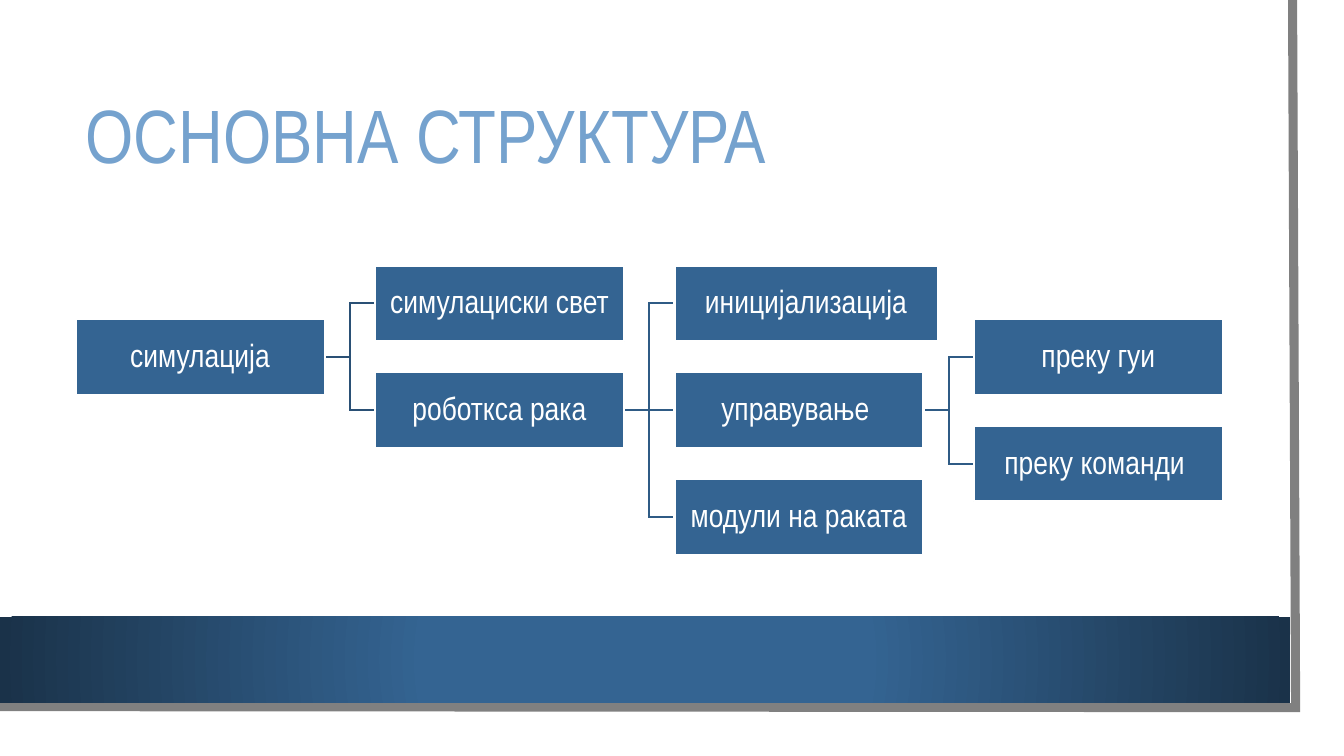
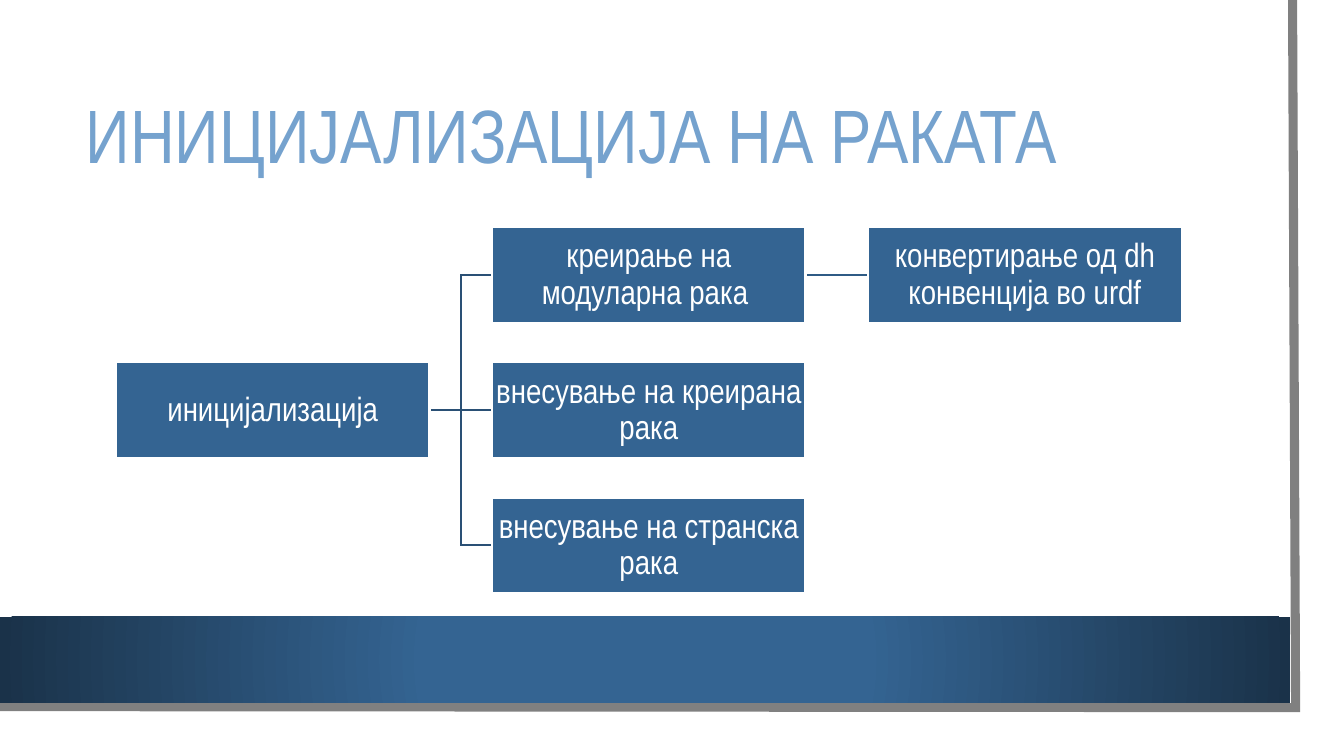
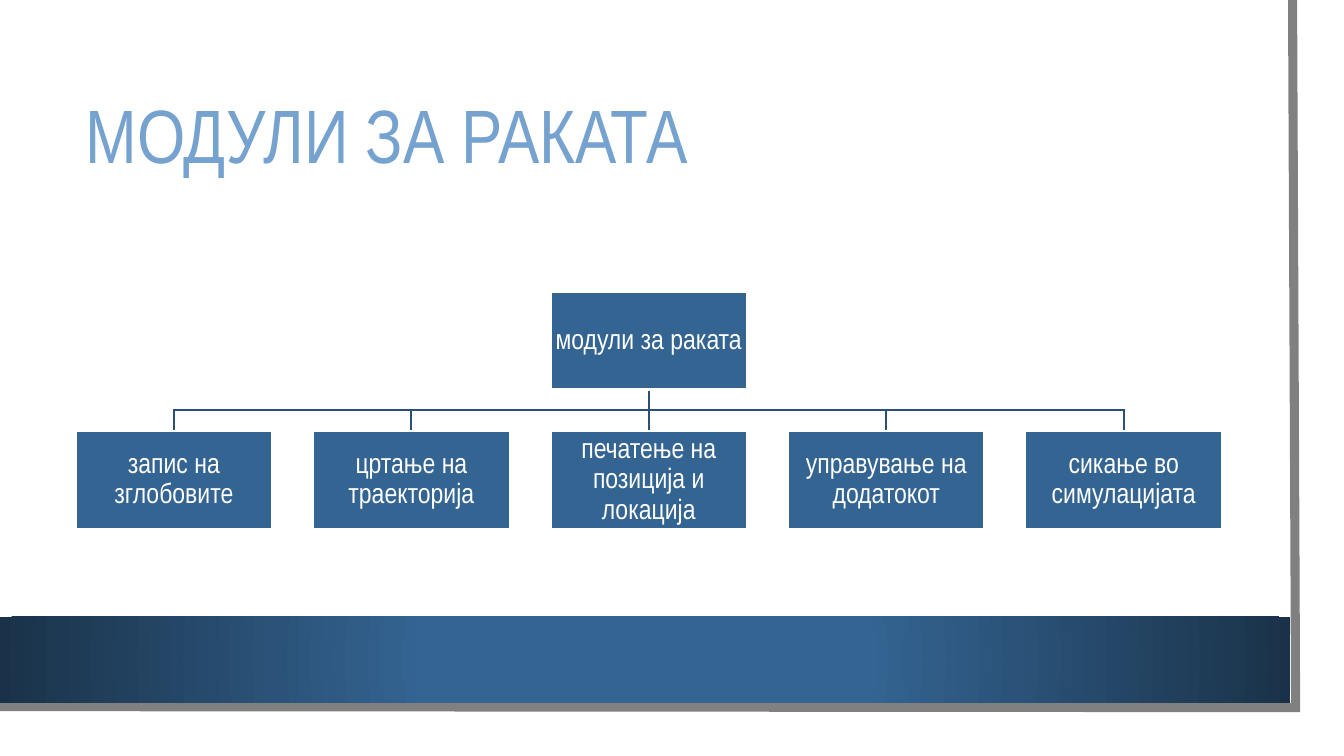
from dataclasses import dataclass

from lxml import etree
from pptx import Presentation, util as u
from pptx.dml.color import RGBColor
from pptx.enum import shapes, text
from pptx.oxml.ns import qn


@dataclass(frozen=True)
class Theme:
    font: str = "Arial Narrow"
    title: str = "75A2CE"
    box: str = "346492"
    band_edge: str = "1A3249"
    first_link: str = "2A5075"
    next_link: str = "2F5B85"
    frame: str = "808080"
    white: str = "FFFFFF"
    title_size: int = 54
    line_width: float = 1.5
    frame_width: float = 6.5


T = Theme()

# Each node: column, row, text, index of its parent, extra width.
# origin is the left edge of column 0 and the vertical centre of row 0.
CHARTS = [
    {
        "title": "ОСНОВНА СТРУКТУРА",
        "size": 23, "inset": 0.02, "down": False,
        "origin": (0.75, 3.01), "pitch": (2.97, 0.53), "box": (2.47, 0.75),
        "nodes": [
            (0, 1, "симулација", None, 0),
            (1, 0, "симулациски свет", 0, 0),
            (1, 2, "роботкса рака", 0, 0),
            (2, 0, "иницијализација", 2, 0.14),
            (2, 2, "управување ", 2, 0),
            (2, 4, "модули на раката", 2, 0),
            (3, 1, "преку гуи", 4, 0),
            (3, 3, "преку команди ", 4, 0),
        ],
    },
    {
        "title": "ИНИЦИЈАЛИЗАЦИЈА НА РАКАТА",
        "size": 24, "inset": 0.02, "down": False,
        "origin": (1.15, 2.73), "pitch": (3.73, 1.34), "box": (3.11, 0.95),
        "nodes": [
            (0, 1, "иницијализација", None, 0),
            (1, 0, "креирање на модуларна рака ", 0, 0),
            (1, 1, "внесување на креирана рака", 0, 0),
            (1, 2, "внесување на странска рака", 0, 0),
            (2, 0, "конвертирање од dh конвенција во urdf", 1, 0),
        ],
    },
    {
        "title": "МОДУЛИ ЗА РАКАТА",
        "size": 20, "inset": 0.01, "down": True,
        "origin": (0.75, 3.38), "pitch": (2.355, 1.38), "box": (1.95, 0.97),
        "nodes": [
            (2, 0, "модули за раката", None, 0),
            (0, 1, "запис на зглобовите", 0, 0),
            (1, 1, "цртање на траекторија", 0, 0),
            (2, 1, "печатење на позиција и локација", 0, 0),
            (3, 1, "управување на додатокот", 0, 0),
            (4, 1, "сикање во симулацијата", 0, 0),
        ],
    },
]


def write(tf, words, size, color, align, inset=None):
    """Fill a text frame with one formatted paragraph."""
    frame = {"word_wrap": True, "auto_size": text.MSO_AUTO_SIZE.NONE,
             "vertical_anchor": text.MSO_ANCHOR.MIDDLE}
    if inset is not None:
        for side in ("left", "top", "right", "bottom"):
            frame["margin_" + side] = u.Inches(inset)
    for name, value in frame.items():
        setattr(tf, name, value)
    p = tf.paragraphs[0]
    p.alignment, p.line_spacing = align, 0.9
    r = p.add_run()
    r.text = words
    for name, value in {"name": T.font, "size": u.Pt(size), "bold": False}.items():
        setattr(r.font, name, value)
    r.font.color.rgb = RGBColor.from_string(color)


def draw_path(s, points, color, width):
    """Draw a straight connector for two points, an open outline for more."""
    pts = [(u.Inches(x), u.Inches(y)) for x, y in points]
    if len(pts) == 2:
        sp = s.shapes.add_connector(shapes.MSO_CONNECTOR.STRAIGHT, *pts[0], *pts[1])
    else:
        fb = s.shapes.build_freeform(*pts[0])
        fb.add_line_segments(pts[1:], close=False)
        sp = fb.convert_to_shape()
        sp.fill.background()
    sp.line.color.rgb = RGBColor.from_string(color)
    sp.line.width = u.Pt(width)
    ln = sp.element.spPr.find(qn("a:ln"))
    etree.SubElement(ln, qn("a:miter")).set("lim", "800000")
    etree.SubElement(sp.element.spPr, qn("a:effectLst"))
    return sp


prs = Presentation()
prs.slide_width, prs.slide_height = u.Inches(13.33), u.Inches(7.5)
layout = prs.slide_layouts[5]
slides = [prs.slides.add_slide(layout) for _ in CHARTS]

# Shared frame and band, drawn once and moved to the layout
s = slides[0]
edge = draw_path(s, [(12.82, 0), (12.85, 7.02), (-0.03, 7.01)], T.frame, T.frame_width)
band = s.shapes.add_shape(shapes.MSO_SHAPE.RECTANGLE, u.Inches(0), u.Inches(6.12),
                          u.Inches(12.8), u.Inches(0.85))
band.shadow.inherit = False
band.line.fill.background()
band.fill.gradient()
for stop, position, color in zip(band.fill.gradient_stops, (0.34, 1), (T.box, T.band_edge)):
    stop.position = position
    stop.color.rgb = RGBColor.from_string(color)
grad = band.element.spPr.find(qn("a:gradFill"))
grad.remove(grad.find(qn("a:lin")))
radial = etree.SubElement(grad, qn("a:path"), {"path": "circle"})
etree.SubElement(radial, qn("a:fillToRect"), dict.fromkeys("ltrb", "50000"))
for i, sp in enumerate((edge, band)):
    layout.shapes.element.insert(2 + i, sp.element)

for s, chart in zip(slides, CHARTS):
    # Title
    title = s.shapes.title
    for name, value in {"left": 0.75, "top": 0.75, "width": 11.37, "height": 1.26}.items():
        setattr(title, name, u.Inches(value))
    write(title.text_frame, chart["title"], T.title_size, T.title, text.PP_ALIGN.LEFT)

    (x0, y0), (dx, dy), (w, h) = chart["origin"], chart["pitch"], chart["box"]
    nodes = chart["nodes"]
    corners = [(x0 + col * dx, y0 + row * dy - h / 2) for col, row, *_ in nodes]

    # Links, behind the boxes
    for (x, y), (col, row, _, parent, _) in zip(corners, nodes):
        if parent is None:
            continue
        px, py = corners[parent]
        if chart["down"]:
            start, end = (px + w / 2, py + h), (x + w / 2, y)
            mid = (start[1] + end[1]) / 2
            bends = [(start[0], mid), (end[0], mid)]
            straight = col == nodes[parent][0]
        else:
            start, end = (px + w, py + h / 2), (x, y + h / 2)
            mid = (start[0] + end[0]) / 2
            bends = [(mid, start[1]), (mid, end[1])]
            straight = row == nodes[parent][1]
        points = [start, end] if straight else [start, *bends, end]
        draw_path(s, points, T.next_link if parent else T.first_link, T.line_width)

    # Boxes
    for (x, y), (_, _, words, _, extra) in zip(corners, nodes):
        sp = s.shapes.add_shape(shapes.MSO_SHAPE.RECTANGLE, u.Inches(x), u.Inches(y),
                                u.Inches(w + extra), u.Inches(h))
        sp.shadow.inherit = False
        sp.fill.solid()
        sp.fill.fore_color.rgb = RGBColor.from_string(T.box)
        sp.line.color.rgb = RGBColor.from_string(T.white)
        sp.line.width = u.Pt(T.line_width)
        write(sp.text_frame, words, chart["size"], T.white, text.PP_ALIGN.CENTER,
              chart["inset"])

prs.save("out.pptx")
